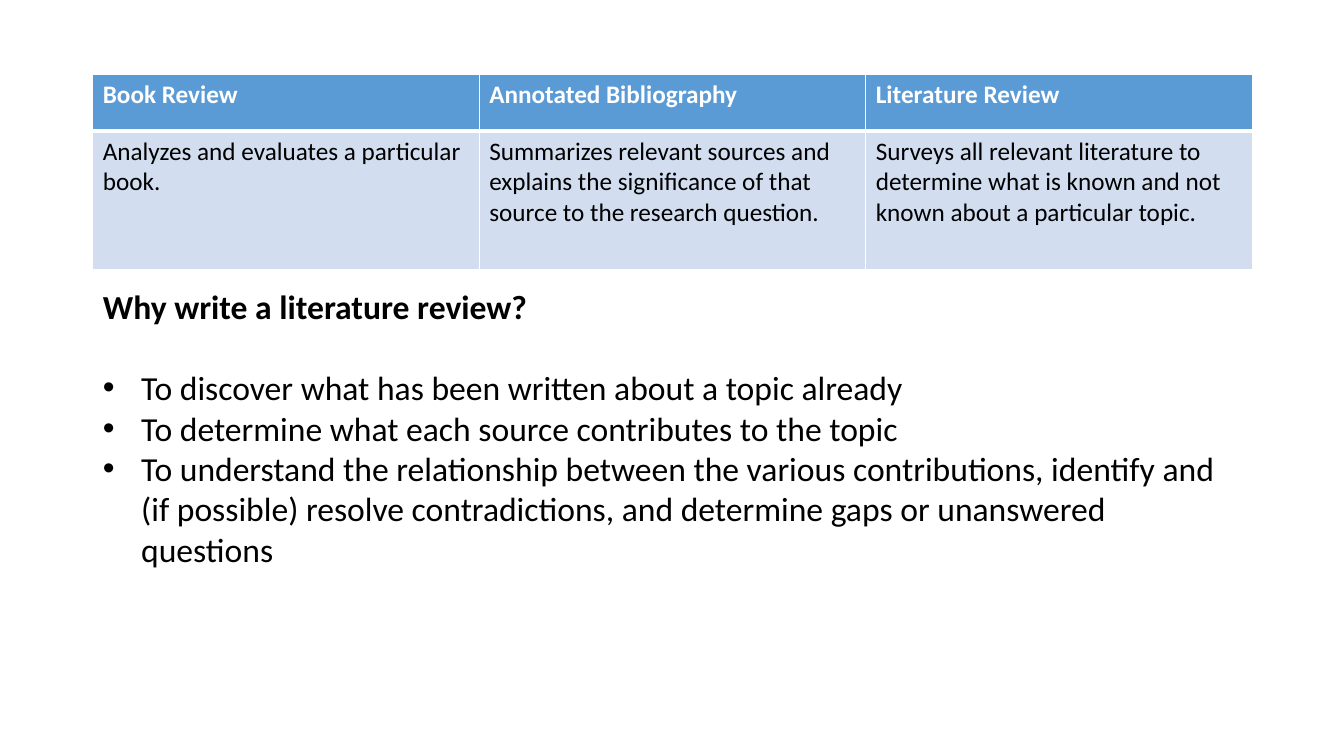
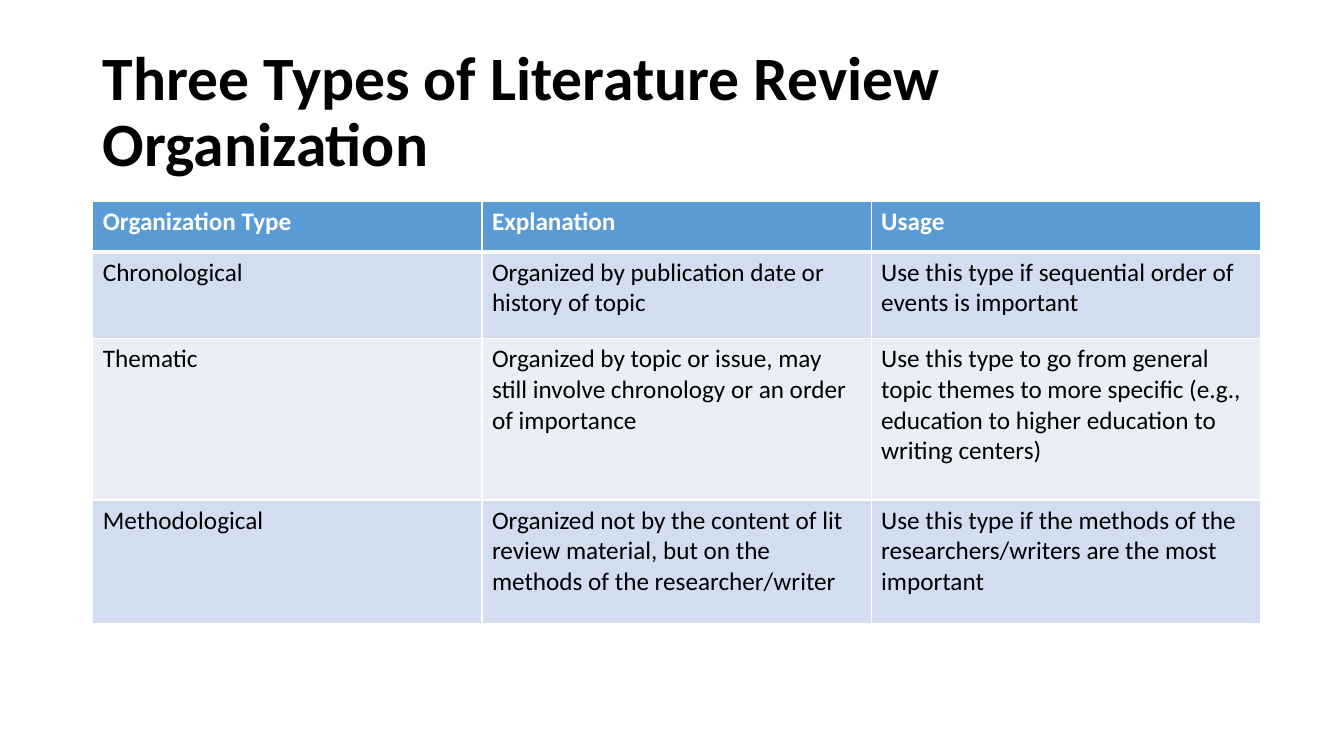
from dataclasses import dataclass

import lxml.etree
import pptx
import pptx.dml.color
import pptx.enum.text
import pptx.oxml.ns
import pptx.util

SCALE = 9144
FONT = "Calibri"
LEFT = 92
WIDTH = 1150
INDENT = 38
COLORS = {
    "head": "5B9BD5",
    "band": "D2DEEF",
    "pale": "EAEFF7",
    "white": "FFFFFF",
    "black": "000000",
}


@dataclass(frozen=True)
class Box:
    left: int
    top: int
    width: int
    height: int


@dataclass(frozen=True)
class Grid:
    box: Box
    heights: tuple[int, ...]
    rows: tuple[tuple[str, ...], ...]


KINDS = Grid(
    Box(LEFT, 74, WIDTH, 193),
    (56, 137),
    (
        ("Book Review", "Annotated Bibliography", "Literature Review"),
        (
            "Analyzes and evaluates a particular book.",
            "Summarizes relevant sources and explains the significance of that source to the research question.",
            "Surveys all relevant literature to determine what is known and not known about a particular topic.",
        ),
    ),
)
TYPES = Grid(
    Box(LEFT, 200, 1158, 419),
    (50, 86, 160, 123),
    (
        ("Organization Type", "Explanation", "Usage"),
        (
            "Chronological",
            "Organized by publication date or history of topic",
            "Use this type if sequential order of events is important",
        ),
        (
            "Thematic",
            "Organized by topic or issue, may still involve chronology or an order of importance",
            "Use this type to go from general topic themes to more specific (e.g., education to higher education to writing centers)",
        ),
        (
            "Methodological",
            "Organized not by the content of lit review material, but on the methods of the researcher/writer",
            "Use this type if the methods of the researchers/writers are the most important",
        ),
    ),
)
REASONS = (
    "To discover what has been written about a topic already",
    "To determine what each source contributes to the topic",
    "To understand the relationship between the various contributions, identify and (if possible) resolve contradictions, and determine gaps or unanswered questions",
)


def px(size: int) -> pptx.util.Emu:
    return pptx.util.Emu(size * SCALE)


def rgb(name: str) -> pptx.dml.color.RGBColor:
    return pptx.dml.color.RGBColor.from_string(COLORS[name])


def node(owner, tag: str, **attrs: str):
    return lxml.etree.SubElement(owner, pptx.oxml.ns.qn(tag), attrs)


def write(para, text: str, size: int, bold: bool = False, color: str = "black") -> None:
    run = para.add_run()
    run.text = text
    font = run.font
    font.name = FONT
    font.size = pptx.util.Pt(size)
    font.bold = bold
    font.color.rgb = rgb(color)


def place(shape, box: Box, anchor) -> None:
    shape.left, shape.top = px(box.left), px(box.top)
    shape.width, shape.height = px(box.width), px(box.height)
    frame = shape.text_frame
    frame.word_wrap = True
    frame.auto_size = pptx.enum.text.MSO_AUTO_SIZE.NONE
    frame.vertical_anchor = anchor


def edge(cell, side: str, points: int) -> None:
    props = cell._tc.get_or_add_tcPr()
    line = node(props, f"a:ln{side}", w=str(pptx.util.Pt(points)))
    node(node(line, "a:solidFill"), "a:srgbClr", val=COLORS["white"])


def draw_grid(slide, grid: Grid) -> None:
    box = grid.box
    table = slide.shapes.add_table(
        len(grid.rows), len(grid.rows[0]),
        px(box.left), px(box.top), px(box.width), px(box.height),
    ).table
    for row, (height, texts) in enumerate(zip(grid.heights, grid.rows)):
        table.rows[row].height = px(height)
        head = row == 0
        fill = "head" if head else "band" if row % 2 else "pale"
        sides = {"L": 1, "R": 1, "T": 3 if row == 1 else 1, "B": 3 if head else 1}
        for col, text in enumerate(texts):
            cell = table.cell(row, col)
            for side, points in sides.items():
                edge(cell, side, points)
            cell.fill.solid()
            cell.fill.fore_color.rgb = rgb(fill)
            write(cell.text_frame.paragraphs[0], text, 18, head, "white" if head else "black")


def draw_title(slide, text: str) -> None:
    title = slide.shapes.title
    place(title, Box(LEFT, 40, WIDTH, 145), pptx.enum.text.MSO_ANCHOR.MIDDLE)
    para = title.text_frame.paragraphs[0]
    para.alignment = pptx.enum.text.PP_ALIGN.LEFT
    para.line_spacing = 0.9
    write(para, text, 44, True)


def draw_list(slide, heading: str, items: tuple[str, ...]) -> None:
    body = slide.placeholders[1]
    place(body, Box(LEFT, 279, WIDTH, 293), pptx.enum.text.MSO_ANCHOR.TOP)
    frame = body.text_frame
    para = frame.paragraphs[0]
    para.space_before = pptx.util.Pt(0)
    props = para._p.get_or_add_pPr()
    props.set("marL", "0")
    props.set("indent", "0")
    node(props, "a:buNone")
    write(para, heading, 24, True)
    for place_no, item in enumerate(items):
        para = frame.add_paragraph()
        para.space_before = pptx.util.Pt(0 if place_no else 29)
        props = para._p.get_or_add_pPr()
        props.set("marL", str(px(INDENT)))
        props.set("indent", str(px(-INDENT)))
        node(props, "a:buFont", typeface="Arial")
        node(props, "a:buChar", char="•")
        write(para, item, 24)


def main() -> None:
    deck = pptx.Presentation()
    deck.slide_width, deck.slide_height = px(1333), px(750)

    why = deck.slides.add_slide(deck.slide_layouts[1])
    title = why.shapes.title.element
    title.getparent().remove(title)
    draw_grid(why, KINDS)
    draw_list(why, "Why write a literature review?", REASONS)

    types = deck.slides.add_slide(deck.slide_layouts[5])
    draw_title(types, "Three Types of Literature Review Organization")
    draw_grid(types, TYPES)

    deck.save("out.pptx")


if __name__ == "__main__":
    main()
